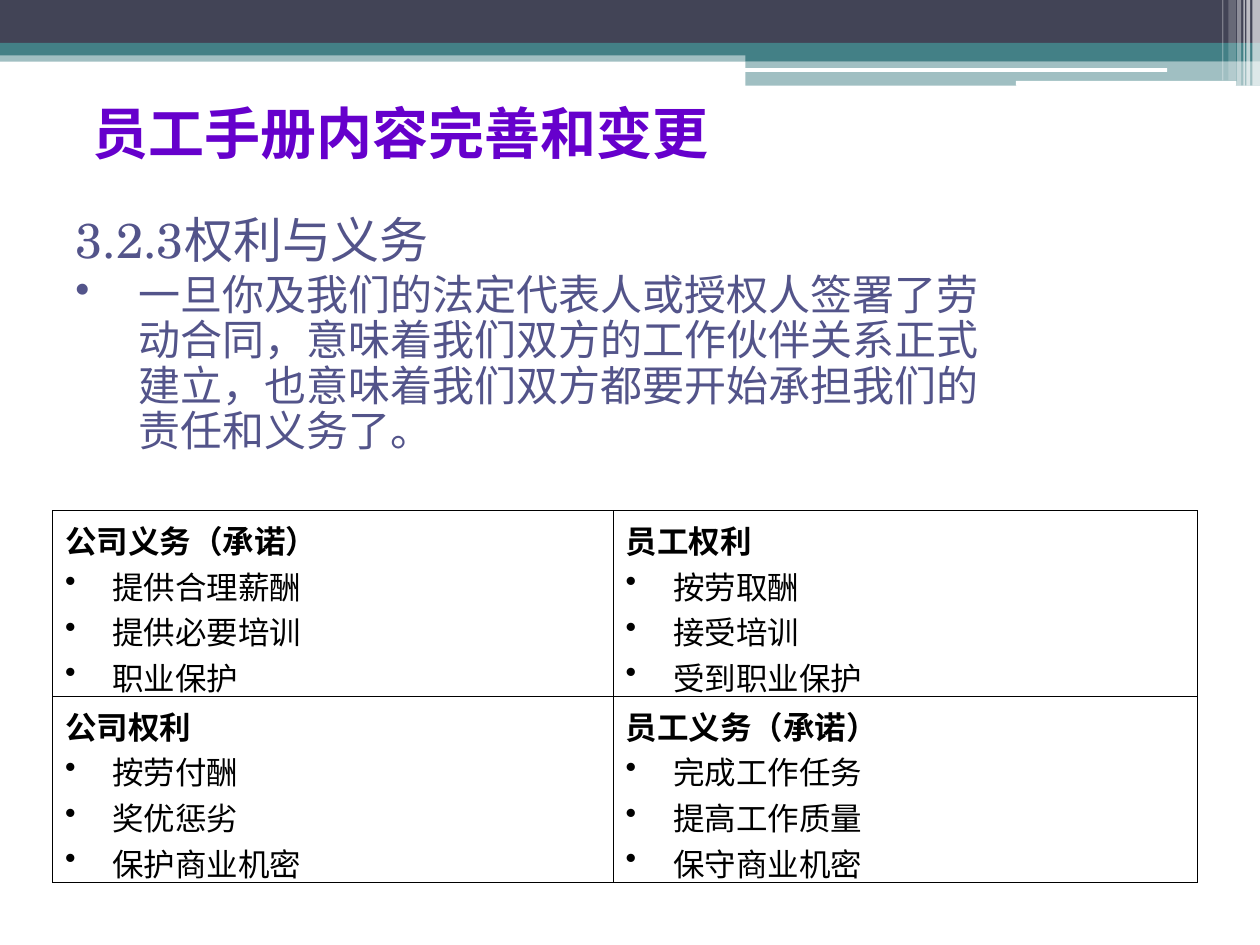
from lxml import etree
from pptx import Presentation
from pptx.dml.color import RGBColor
from pptx.enum import shapes, text
from pptx.oxml import ns
from pptx.util import Pt

COLORS = {"navy": "424456", "teal": "438086", "white": "FFFFFF",
          "title": "6600CC", "body": "53548A", "black": "000000"}
CJK = "Noto Sans CJK SC"

# Header bars: left, top, width, height, colour, opacity in percent, rounded
BARS = [
    (0, 28.8, 720, 6.5, "teal", 50, False),
    (0, 0, 720, 24.5, "navy", 100, False),
    (0, 24.5, 720, 7.2, "teal", 100, False),
    (426, 28, 294, 7, "teal", 100, False),
    (426, 34.8, 294, 14.2, "teal", 50, False),
    (425.5, 38.9, 241.5, 2.2, "white", 100, True),
    (580.5, 46.2, 126, 2.8, "white", 100, True),
    (715.7, 0, 4.3, 49, "white", 65, False),
    (712.2, 0, 2.2, 49, "white", 65, False),
    (710.6, 0, 0.8, 49, "white", 60, False),
    (707, 0, 2.2, 49, "white", 40, False),
    (702, 0, 4.3, 46, "white", 20, False),
    (698.4, 0, 0.8, 46, "white", 30, False),
]
TITLE = "员工手册内容完善和变更"
SECTION = "3.2.3权利与义务"
STATEMENT = ("一旦你及我们的法定代表人或授权人签署了劳动合同，意味着我们双方的工作伙伴关系"
             "正式建立，也意味着我们双方都要开始承担我们的责任和义务了。")
DUTIES = [
    [("公司义务（承诺）", ["提供合理薪酬", "提供必要培训", "职业保护"]),
     ("员工权利", ["按劳取酬", "接受培训", "受到职业保护"])],
    [("公司权利", ["按劳付酬", "奖优惩劣", "保护商业机密"]),
     ("员工义务（承诺）", ["完成工作任务", "提高工作质量", "保守商业机密"])],
]
COLUMN_WIDTHS = (320.4, 333.6)
ROW_HEIGHT = 106.2


def rgb(name):
    return RGBColor.from_string(COLORS[name])


def child(parent, tag, **attributes):
    element = etree.SubElement(parent, ns.qn(tag))
    for key, value in attributes.items():
        element.set(key, str(value))
    return element


def add_bar(slide, left, top, width, height, color, opacity, rounded):
    kind = shapes.MSO_SHAPE.ROUNDED_RECTANGLE if rounded else shapes.MSO_SHAPE.RECTANGLE
    shape = slide.shapes.add_shape(kind, Pt(left), Pt(top), Pt(width), Pt(height))
    shape.shadow.inherit = False
    shape.line.fill.background()
    shape.fill.solid()
    shape.fill.fore_color.rgb = rgb(color)
    if opacity < 100:
        fill_color = shape.fill._xPr.find(ns.qn("a:solidFill"))[0]
        child(fill_color, "a:alpha", val=opacity * 1000)


def add_text_box(slide, left, top, width, height, anchor):
    frame = slide.shapes.add_textbox(Pt(left), Pt(top), Pt(width), Pt(height)).text_frame
    frame.word_wrap = True
    frame.vertical_anchor = anchor
    return frame


def write(paragraph, words, size, font, color, bold=False, margin=0, hanging=0, bullet=False):
    properties = paragraph._p.get_or_add_pPr()
    properties.set("marL", str(Pt(margin)))
    properties.set("indent", str(Pt(-hanging)))
    if bullet:
        child(child(properties, "a:buClr"), "a:srgbClr", val=COLORS[color])
        child(properties, "a:buChar", char="•")
    else:
        child(properties, "a:buNone")
    run = paragraph.add_run()
    run.text = words
    run.font.size = Pt(size)
    run.font.bold = bold
    run.font.color.rgb = rgb(color)
    run.font.name = font
    child(run._r.get_or_add_rPr(), "a:ea", typeface=CJK)


def outline(cell):
    for side in ("L", "R", "T", "B"):
        line = child(cell._tc.get_or_add_tcPr(), f"a:ln{side}", w=Pt(0.45))
        child(child(line, "a:solidFill"), "a:srgbClr", val=COLORS["black"])


def fill_cell(cell, heading, items):
    outline(cell)
    cell.fill.background()
    frame = cell.text_frame
    write(frame.paragraphs[0], heading, 18, CJK, "black", True, 27, 27)
    for item in items:
        write(frame.add_paragraph(), item, 18, CJK, "black", False, 27, 27, True)


def main():
    presentation = Presentation()
    presentation.slide_width, presentation.slide_height = Pt(720), Pt(540)
    slide = presentation.slides.add_slide(presentation.slide_layouts[6])

    # Header band
    for bar in BARS:
        add_bar(slide, *bar)

    # Title
    title = add_text_box(slide, 24, 48.5, 672, 54.5, text.MSO_ANCHOR.MIDDLE)
    write(title.paragraphs[0], TITLE, 32, "Karla", "title", True, margin=21.5)

    # Section heading and statement
    body = add_text_box(slide, -36, 120, 618, 150, text.MSO_ANCHOR.TOP)
    write(body.paragraphs[0], SECTION, 28, "TeX Gyre Schola", "body", False, 108, 36)
    statement = body.add_paragraph()
    write(statement, STATEMENT, 24, "TeX Gyre Schola", "body", False, 108, 36, True)
    statement.space_before = Pt(3)
    for paragraph in body.paragraphs:
        paragraph.line_spacing = 0.9

    # Rights and duties table
    table = slide.shapes.add_table(len(DUTIES), len(COLUMN_WIDTHS), Pt(30), Pt(291.8),
                                   Pt(sum(COLUMN_WIDTHS)), Pt(ROW_HEIGHT * len(DUTIES))).table
    table.first_row = table.horz_banding = False
    for column, width in zip(table.columns, COLUMN_WIDTHS):
        column.width = Pt(width)
    for row, entries in enumerate(DUTIES):
        table.rows[row].height = Pt(ROW_HEIGHT)
        for column, (heading, items) in enumerate(entries):
            fill_cell(table.cell(row, column), heading, items)

    presentation.save("out.pptx")


if __name__ == "__main__":
    main()
